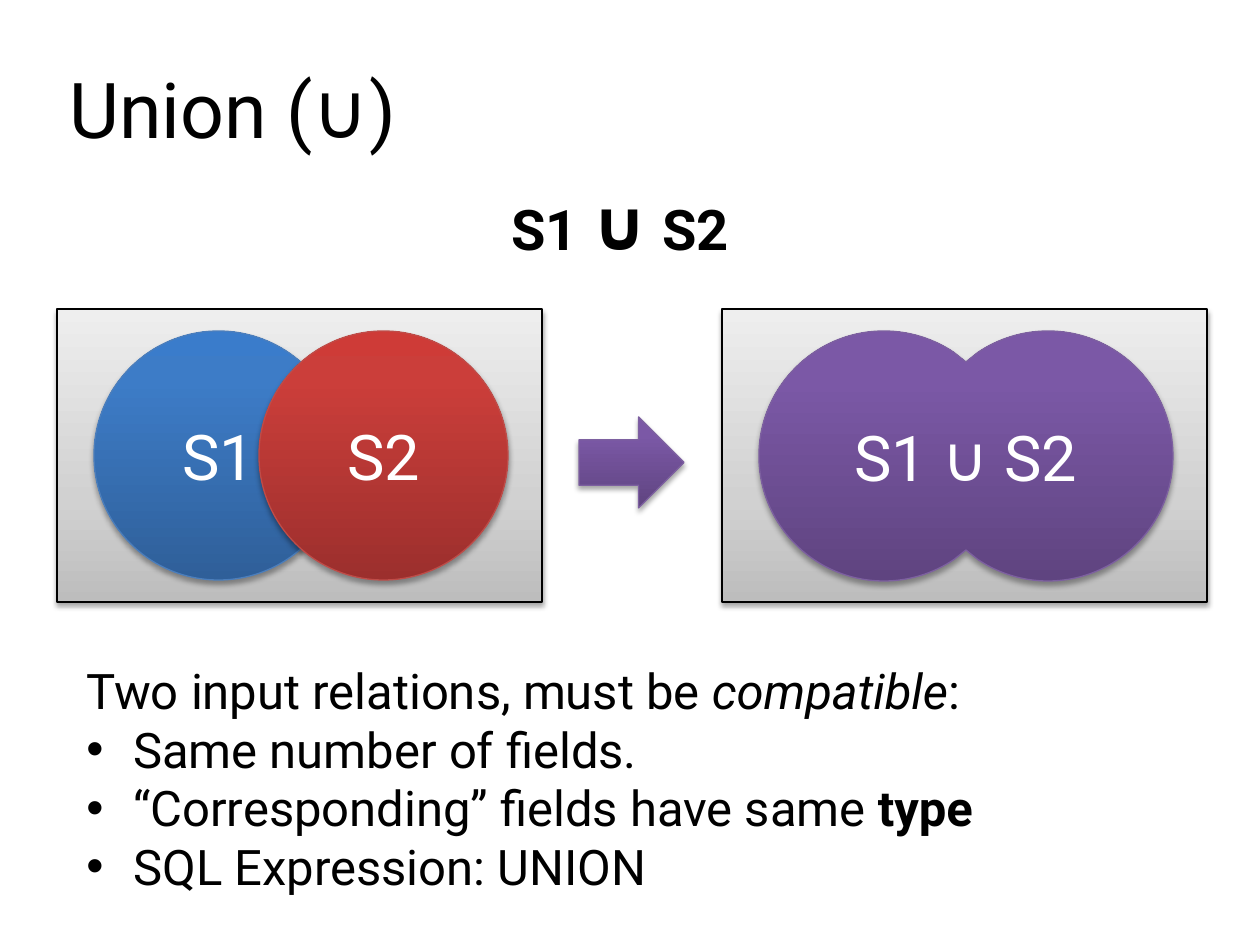
from copy import deepcopy
from math import cos, radians, sin, tan

from lxml import etree
from pptx import Presentation
from pptx.dml.color import RGBColor
from pptx.enum.shapes import MSO_SHAPE
from pptx.enum.text import MSO_ANCHOR, MSO_AUTO_SIZE, PP_ALIGN
from pptx.oxml.ns import qn
from pptx.util import Emu, Inches, Pt

RECTANGLE, OVAL, RIGHT_ARROW = MSO_SHAPE.RECTANGLE, MSO_SHAPE.OVAL, MSO_SHAPE.RIGHT_ARROW
LEFT, CENTER = PP_ALIGN.LEFT, PP_ALIGN.CENTER
MIDDLE = MSO_ANCHOR.MIDDLE
FIT_SHAPE, NO_FIT = MSO_AUTO_SIZE.SHAPE_TO_FIT_TEXT, MSO_AUTO_SIZE.NONE

BLACK = RGBColor(0x00, 0x00, 0x00)
WHITE = RGBColor(0xFF, 0xFF, 0xFF)
BLUE_EDGE = RGBColor(0x4B, 0x7E, 0xBC)
RED_EDGE = RGBColor(0xBF, 0x4C, 0x48)
PURPLE_EDGE = RGBColor(0x7D, 0x60, 0xA0)
GRAY = ((0, RGBColor(0xBD, 0xBD, 0xBD)), (0.35, RGBColor(0xD1, 0xD1, 0xD1)),
        (1, RGBColor(0xEE, 0xEE, 0xEE)))
BLUE = ((0, RGBColor(0x2F, 0x5F, 0x99)), (0.8, RGBColor(0x3D, 0x7C, 0xC7)),
        (1, RGBColor(0x3A, 0x7C, 0xCB)))
RED = ((0, RGBColor(0x9C, 0x2F, 0x2D)), (0.8, RGBColor(0xCB, 0x3E, 0x3A)),
       (1, RGBColor(0xCE, 0x3B, 0x37)))
PURPLE = ((0, RGBColor(0x5F, 0x44, 0x80)), (0.8, RGBColor(0x7B, 0x58, 0xA6)),
          (1, RGBColor(0x7C, 0x57, 0xA8)))

FONT = "Roboto"
EMU_PER_PX = 914400 / 126


def px(length):
    return Emu(round(length * EMU_PER_PX))


class UnionSlide:
    def __init__(self, presentation):
        self.slide = presentation.slides.add_slide(presentation.slide_layouts[5])
        self.shapes = self.slide.shapes

    def style_font(self, font, size, color=BLACK, bold=None):
        font.name, font.size, font.bold = FONT, Pt(size), bold
        font.color.rgb = color

    def title(self, text, box):
        title = self.shapes.title
        title.left, title.top, title.width, title.height = map(px, box)
        frame = title.text_frame
        frame.text = text
        frame.vertical_anchor = MIDDLE
        frame.auto_size = NO_FIT
        frame.paragraphs[0].alignment = LEFT
        self.style_font(frame.paragraphs[0].font, 44)

    def text(self, box, paragraphs, size, bold=None, wrap=True):
        frame = self.shapes.add_textbox(*map(px, box)).text_frame
        frame.word_wrap = wrap
        frame.auto_size = FIT_SHAPE
        for index, (bulleted, runs) in enumerate(paragraphs):
            paragraph = frame.add_paragraph() if index else frame.paragraphs[0]
            if bulleted:
                self.bullet(paragraph)
            self.style_font(paragraph.font, size, bold=bold)
            for words, changes in runs:
                run = paragraph.add_run()
                run.text = words
                for attribute, value in changes.items():
                    setattr(run.font, attribute, value)

    def bullet(self, paragraph):
        properties = paragraph._p.get_or_add_pPr()
        properties.set("marL", str(px(47)))
        properties.set("indent", str(px(-47)))
        etree.SubElement(properties, qn("a:buFont"), typeface="Arial")
        etree.SubElement(properties, qn("a:buChar"), char="•")

    def shape(self, kind, box, stops, edge, label="", parent=None):
        shape = (parent or self).shapes.add_shape(kind, *map(px, box))
        self.finish(shape, stops, edge, label)

    def union_outline(self, center, radius, offset, notch_depth, stops, edge, label):
        center_x, center_y = center
        anchors, curves = [], {}
        for side, angles in ((1, (-124, -90, 0, 90, 124)), (-1, (56, 90, 180, 270, 304))):
            circle_x = center_x + side * offset
            for position, angle in enumerate(angles):
                across, down = radius * cos(radians(angle)), radius * sin(radians(angle))
                end = (circle_x + across, center_y + down)
                if position:
                    reach = 4 / 3 * tan(radians(angle - angles[position - 1]) / 4)
                    start_x, start_y = anchors[-1]
                    curves[len(anchors) - 1] = (
                        (start_x - reach * (start_y - center_y),
                         start_y + reach * (start_x - circle_x)),
                        (end[0] + reach * down, end[1] - reach * across), end)
                anchors.append(end)
            anchors.append((center_x, center_y + side * notch_depth))
        builder = self.shapes.build_freeform(*map(px, anchors[0]))
        builder.add_line_segments([(px(x), px(y)) for x, y in anchors[1:]], close=True)
        shape = builder.convert_to_shape()
        segments = list(shape._element.iter(qn("a:lnTo")))
        for index, points in curves.items():
            curve = etree.Element(qn("a:cubicBezTo"))
            for x, y in points:
                etree.SubElement(curve, qn("a:pt"), x=str(px(x) - shape.left),
                                 y=str(px(y) - shape.top))
            segments[index].getparent().replace(segments[index], curve)
        self.finish(shape, stops, edge, label)

    def finish(self, shape, stops, edge, label):
        shape.fill.gradient()
        shape.fill.gradient_angle = 90
        properties = shape._element.spPr
        stop_list = properties.find(qn("a:gradFill")).find(qn("a:gsLst"))
        stop_list.append(deepcopy(stop_list[-1]))
        for stop, (position, color) in zip(shape.fill.gradient_stops, stops):
            stop.position = position
            stop.color.rgb = color
        shape.line.color.rgb = edge
        shape.line.width = Pt(0.75)
        self.shadow(shape)
        if label:
            frame = shape.text_frame
            frame.text = label
            frame.vertical_anchor = MIDDLE
            frame.paragraphs[0].alignment = CENTER
            self.style_font(frame.paragraphs[0].font, 36, WHITE)

    def shadow(self, shape):
        shape.shadow.inherit = False
        effects = shape._element.spPr.find(qn("a:effectLst"))
        outer = etree.SubElement(effects, qn("a:outerShdw"), blurRad=str(Pt(3.1)),
                                 dist=str(Pt(1.8)), dir="5400000", rotWithShape="0")
        color = etree.SubElement(outer, qn("a:srgbClr"), val=str(BLACK))
        etree.SubElement(color, qn("a:alpha"), val="35000")


def main():
    presentation = Presentation()
    presentation.slide_width, presentation.slide_height = Inches(10), Inches(7.5)
    union = UnionSlide(presentation)
    union.title("Union (∪)", (57, 6, 656, 203))

    inputs = union.shapes.add_group_shape()
    union.shape(RECTANGLE, (57, 309, 485, 293), GRAY, BLACK, parent=inputs)
    union.shape(OVAL, (94, 331, 249, 249), BLUE, BLUE_EDGE, "S1", inputs)
    union.shape(OVAL, (259, 331, 249, 249), RED, RED_EDGE, "S2", inputs)

    union.shape(RIGHT_ARROW, (579, 417, 105, 91), PURPLE, PURPLE_EDGE)
    expression = [("S1 ", {}), ("∪", {"size": Pt(40)}), (" ", {"bold": False}), ("S2", {})]
    union.text((499, 174, 266, 97), [(False, expression)], 32, bold=True, wrap=False)

    union.shape(RECTANGLE, (722, 309, 485, 293), GRAY, BLACK)
    union.union_outline((966, 456), 125, 82, 94, PURPLE, PURPLE_EDGE, "S1 ∪ S2")

    rules = [
        (False, [("Two input relations, must be ", {}), ("compatible", {"italic": True}),
                 (":", {})]),
        (True, [("Same number of fields.", {})]),
        (True, [("“Corresponding” fields have same ", {}), ("type", {"bold": True})]),
        (True, [("SQL Expression: UNION", {})]),
    ]
    union.text((74, 654, 1171, 251), rules, 28)
    presentation.save("out.pptx")


if __name__ == "__main__":
    main()
